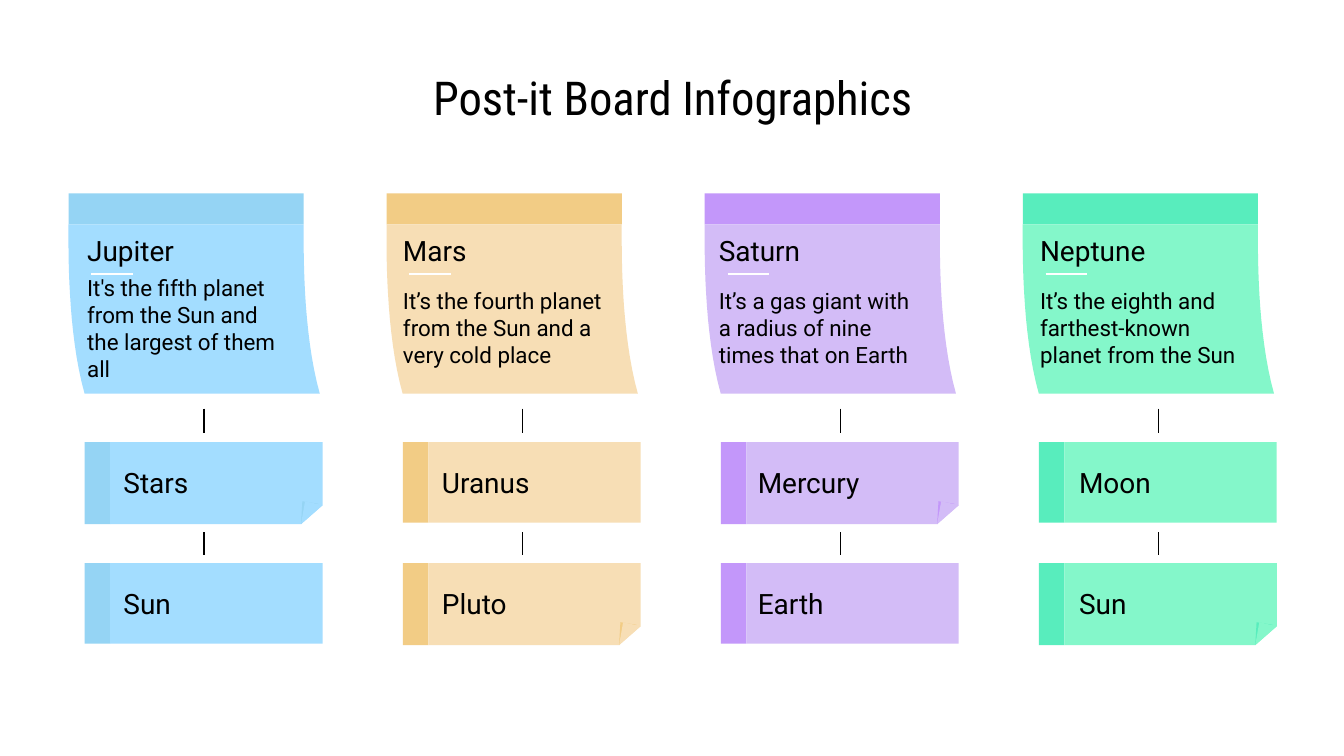
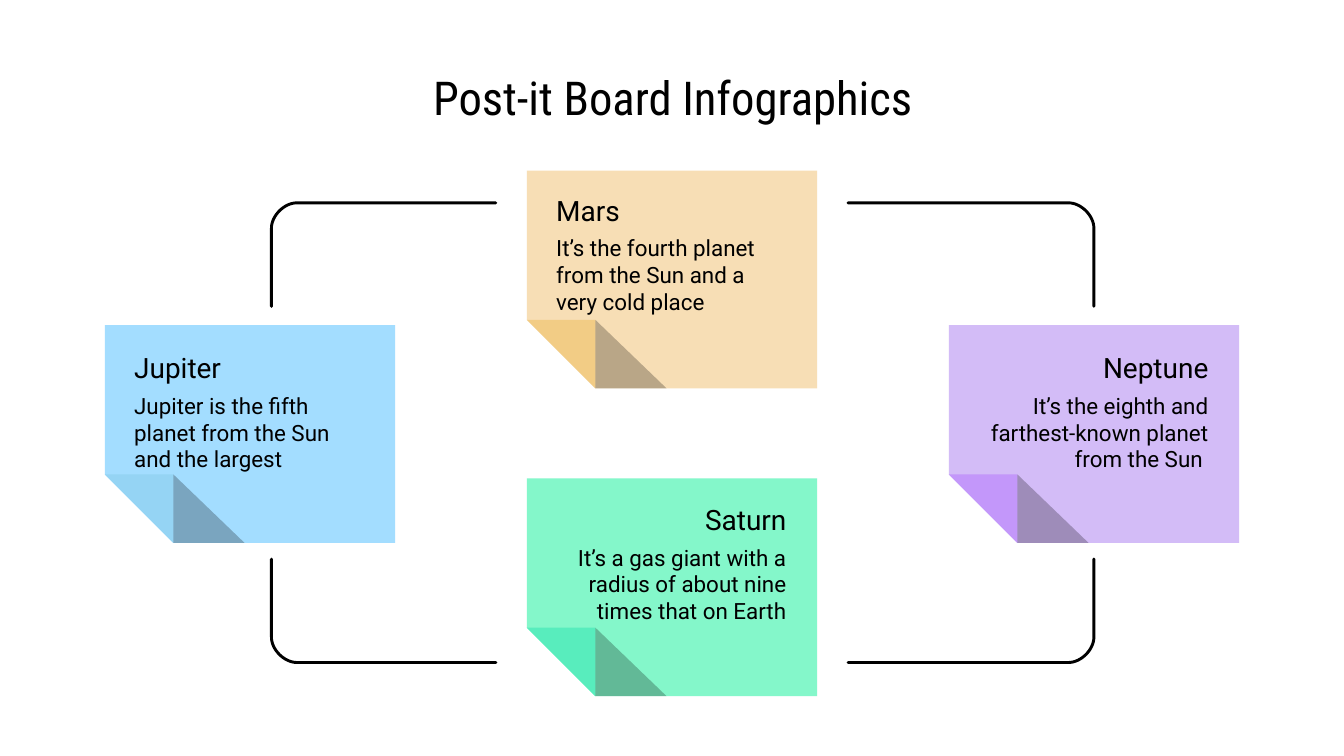
"""Build two post-it board slides about planets."""
from lxml import etree
from pptx import Presentation
from pptx.dml.color import RGBColor
from pptx.enum.shapes import MSO_CONNECTOR, MSO_SHAPE
from pptx.enum.text import MSO_ANCHOR, PP_ALIGN
from pptx.oxml.ns import qn
from pptx.util import Inches, Pt

RECT = MSO_SHAPE.RECTANGLE
STRAIGHT = MSO_CONNECTOR.STRAIGHT
MIDDLE = MSO_ANCHOR.MIDDLE
LEFT, CENTER, RIGHT = PP_ALIGN.LEFT, PP_ALIGN.CENTER, PP_ALIGN.RIGHT

COLORS = {
    "black": "000000", "white": "FFFFFF",
    "blue": "A3DDFF", "blue dark": "95D4F4",
    "sand": "F7DEB5", "sand dark": "F2CC85",
    "plum": "D3BCF7", "plum dark": "C397FA",
    "mint": "84F7CA", "mint dark": "58EDBD",
}
TITLE = "Post-it Board Infographics"

# color, name, text, labels, folded row, text left, label left
COLUMNS = [
    ("blue", "Jupiter", "It's the fifth planet from the Sun and the largest of them all",
     ("Stars", "Sun"), 0, 0.55, 0.82),
    ("sand", "Mars", "It’s the fourth planet from the Sun and a very cold place",
     ("Uranus", "Pluto"), 1, 2.9, 3.19),
    ("plum", "Saturn", "It’s a gas giant with a radius of nine times that on Earth",
     ("Mercury", "Earth"), 0, 5.25, 5.54),
    ("mint", "Neptune", "It’s the eighth and farthest-known planet from the Sun",
     ("Moon", "Sun"), 1, 7.64, 7.93),
]
START, GAP = 0.63, 7.1 / 3
ROWS = (3.29, 4.19)

# color, name, text, left, top, text top, align
NOTES = [
    ("sand", "Mars", "It’s the fourth planet from the Sun and a very cold place",
     3.92, 1.27, 1.42, LEFT),
    ("mint", "Saturn", "It’s a gas giant with a radius of about nine times that on Earth",
     3.92, 3.56, 3.72, RIGHT),
    ("plum", "Neptune", "It’s the eighth and farthest-known planet from the Sun ",
     7.06, 2.42, 2.59, RIGHT),
    ("blue", "Jupiter", "Jupiter is the fifth planet from the Sun and the largest",
     0.78, 2.42, 2.59, LEFT),
]
SIDES = [(6.31, 8.14), (3.69, 2.02)]
ENDS = [(1.51, 2.28), (4.93, 4.16)]


def paint(shape, color):
    shape.shadow.inherit = False
    shape.fill.solid()
    shape.fill.fore_color.rgb = RGBColor.from_string(COLORS[color])
    shape.line.fill.background()


def box(slide, color, x, y, w, h):
    paint(slide.shapes.add_shape(RECT, *map(Inches, (x, y, w, h))), color)


def trace(slide, points, close=True):
    spots = [(Inches(x), Inches(y)) for x, y in points]
    pen = slide.shapes.build_freeform(*spots[0], scale=1.0)
    pen.add_line_segments(spots[1:], close=close)
    return pen.convert_to_shape()


def shift(points, x, y=0):
    return [(x + a, y + b) for a, b in points]


def curve(a, b, c, d, steps=16):
    spots = []
    for i in range(steps + 1):
        t = i / steps
        s = 1 - t
        spots.append(tuple(s**3 * p + 3 * s * s * t * q + 3 * s * t * t * r + t**3 * e
                           for p, q, r, e in zip(a, b, c, d)))
    return spots


def rule(slide, color, x, y, w=0, h=0):
    line = slide.shapes.add_connector(STRAIGHT, *map(Inches, (x, y, x + w, y + h)))
    line.line.width = Pt(0.81)
    line.line.color.rgb = RGBColor.from_string(COLORS[color])
    etree.SubElement(line.element.spPr, qn("a:effectLst"))


def write(slide, words, x, y, w, h, size=15, align=LEFT, font="Roboto"):
    frame = slide.shapes.add_textbox(*map(Inches, (x, y, w, h))).text_frame
    frame.word_wrap = True
    frame.vertical_anchor = MIDDLE
    frame.margin_left = frame.margin_right = Inches(0.1)
    frame.margin_top = frame.margin_bottom = Inches(0.1)
    para = frame.paragraphs[0]
    para.alignment = align
    run = para.add_run()
    run.text = words
    run.font.size = Pt(size)
    run.font.name = font
    run.font.color.rgb = RGBColor.from_string(COLORS["black"])


def start(deck):
    slide = deck.slides.add_slide(deck.slide_layouts[6])
    write(slide, TITLE, 0.78, 0.5, 8.45, 0.44, 25, CENTER, "Roboto Condensed")
    return slide


def strip(slide, color, x, y, fold):
    dark = color + " dark"
    box(slide, dark, x, y, 0.19, 0.61 if fold else 0.6)
    if not fold:
        box(slide, color, x + 0.19, y, 1.58, 0.6)
        return
    parts = [
        (color, [(0.19, 0), (0.19, 0.61), (1.61, 0.61), (1.77, 0.47), (1.77, 0)]),
        (dark, [(1.62, 0.44), (1.61, 0.61), (1.74, 0.46)]),
        (color, [(1.64, 0.44), (1.61, 0.61), (1.77, 0.47)]),
    ]
    for tone, points in parts:
        paint(trace(slide, shift(points, x, y)), tone)


def column(slide, x, color, name, words, labels, fold, left, inner):
    box(slide, color + " dark", x - 0.12, 1.44, 1.75, 0.23)
    edge = curve((-0.12, 1.67), (-0.12, 1.84), (-0.13, 2.47), (0, 2.93))
    sheet = edge + shift(edge[::-1], 1.75)
    paint(trace(slide, shift(sheet, x)), color)
    rule(slide, "white", x + 0.05, 2.04, w=0.31)
    rule(slide, "black", x + 0.89, 3.04, h=0.18)
    rule(slide, "black", x + 0.89, 3.96, h=0.17)
    write(slide, name, left, 1.72, 1.72, 0.29)
    write(slide, words, left, 2.12, 1.72, 0.64, 12)
    for i, (label, y) in enumerate(zip(labels, ROWS)):
        strip(slide, color, x, y, i == fold)
        write(slide, label, inner, y, 1.58, 0.6)


def note(slide, color, name, words, x, y, top, align):
    parts = [
        (color, [(0, 0), (0, 1.11), (0.51, 1.62), (2.16, 1.62), (2.16, 0)]),
        (color + " dark", [(0, 1.11), (0.51, 1.62), (0.51, 1.11)]),
        ("black", [(0.51, 1.11), (0.51, 1.62), (1.04, 1.62)]),
    ]
    for tone, points in parts:
        shape = trace(slide, shift(points, x, y))
        paint(shape, tone)
    shade = shape.element.spPr.find(qn("a:solidFill"))[0]
    etree.SubElement(shade, qn("a:alpha")).set("val", "25000")
    write(slide, name, x + 0.12, top, 1.91, 0.29, 15, align)
    write(slide, words, x + 0.12, top + 0.3, 1.91, 0.65, 12, align)


def bracket(slide, tip, side, top, end):
    dx = 0.19 if side < tip else -0.19
    dy = 0.19 if end > top else -0.19
    bend = curve((side + dx, top), (side + dx / 2, top),
                 (side, top + dy / 2), (side, top + dy))
    shape = trace(slide, [(tip, top)] + bend + [(side, end)], close=False)
    shape.shadow.inherit = False
    shape.fill.background()
    shape.line.width = Pt(1.56)
    shape.line.color.rgb = RGBColor.from_string(COLORS["black"])
    shape.element.spPr.find(qn("a:ln")).set("cap", "rnd")


def main():
    deck = Presentation()
    deck.slide_width = Inches(10)
    deck.slide_height = Inches(10 * 9 / 16)
    slide = start(deck)
    for i, item in enumerate(COLUMNS):
        column(slide, START + i * GAP, *item)
    slide = start(deck)
    for item in NOTES:
        note(slide, *item)
    for tip, side in SIDES:
        for top, end in ENDS:
            bracket(slide, tip, side, top, end)
    deck.save("out.pptx")


if __name__ == "__main__":
    main()
